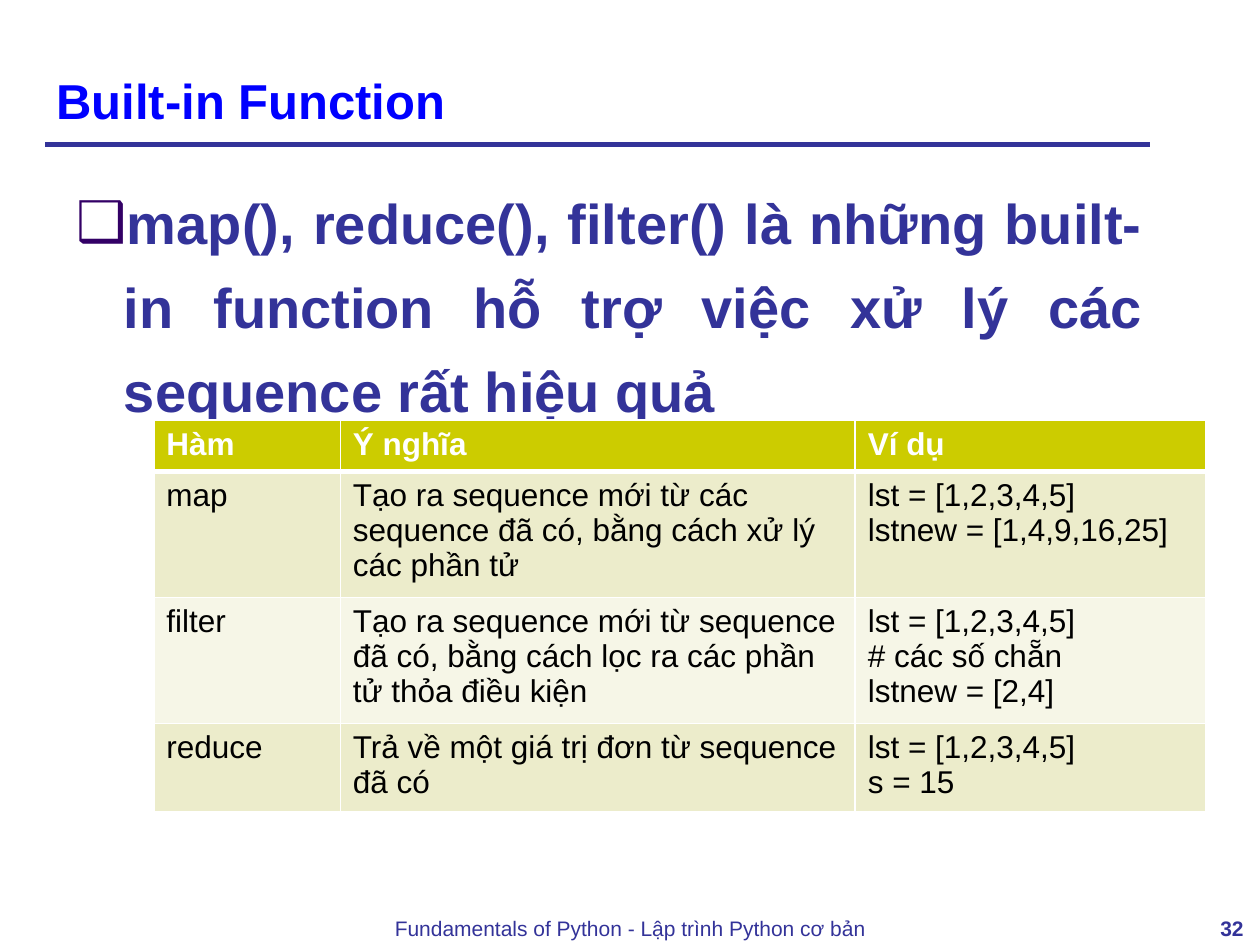
from lxml.etree import SubElement
from pptx import Presentation
from pptx.dml.color import RGBColor
from pptx.enum.shapes import MSO_CONNECTOR
from pptx.enum.text import MSO_ANCHOR, PP_ALIGN
from pptx.oxml.ns import qn
from pptx.util import Cm, Pt

FONT = "Arial"
INDIGO = RGBColor(0x33, 0x33, 0x99)
BLUE = RGBColor(0x00, 0x00, 0xFF)
PURPLE = RGBColor(0x33, 0x00, 0x66)
OLIVE = RGBColor(0xCC, 0xCC, 0x00)
BAND_DARK = RGBColor(0xEC, 0xEC, 0xCB)
BAND_LIGHT = RGBColor(0xF6, 0xF6, 0xE7)
WHITE = RGBColor(0xFF, 0xFF, 0xFF)
BLACK = RGBColor(0x00, 0x00, 0x00)

COLUMN_WIDTHS = (3.76, 10.38, 7.06)
ROW_HEIGHTS = (1.03, 2.54, 2.54, 1.78)
FUNCTIONS = (
    ("Hàm", "Ý nghĩa", "Ví dụ"),
    ("map",
     "Tạo ra sequence mới từ các sequence đã có, bằng cách xử lý các phần tử",
     "lst = [1,2,3,4,5]\nlstnew = [1,4,9,16,25]"),
    ("filter",
     "Tạo ra sequence mới từ sequence đã có, bằng cách lọc ra các phần tử thỏa điều kiện",
     "lst = [1,2,3,4,5]\n# các số chẵn\nlstnew = [2,4]"),
    ("reduce",
     "Trả về một giá trị đơn từ sequence đã có",
     "lst = [1,2,3,4,5]\ns = 15"),
)


def write(frame, text, size, color, bold=False, align=PP_ALIGN.LEFT):
    frame.text = text
    for paragraph in frame.paragraphs:
        paragraph.alignment = align
        for run in paragraph.runs:
            run.font.name = FONT
            run.font.size = Pt(size)
            run.font.bold = bold
            run.font.color.rgb = color


def add_text(slide, box, text, size, color, bold=False,
             align=PP_ALIGN.LEFT, anchor=MSO_ANCHOR.TOP):
    frame = slide.shapes.add_textbox(*map(Cm, box)).text_frame
    frame.word_wrap = True
    frame.vertical_anchor = anchor
    write(frame, text, size, color, bold, align)
    return frame.paragraphs[0]


def add_bullet(paragraph, symbol, color, indent):
    properties = paragraph._p.get_or_add_pPr()
    properties.set("marL", str(indent))
    properties.set("indent", str(-indent))
    bullet_color = SubElement(properties, qn("a:buClr"))
    SubElement(bullet_color, qn("a:srgbClr"), val=str(color))
    SubElement(properties, qn("a:buFont"), typeface=FONT)
    SubElement(properties, qn("a:buChar"), char=symbol)


def add_rule(slide, left, right, top):
    rule = slide.shapes.add_connector(
        MSO_CONNECTOR.STRAIGHT, Cm(left), Cm(top), Cm(right), Cm(top))
    rule.line.color.rgb = INDIGO
    rule.line.width = Pt(3)
    SubElement(rule._element.spPr, qn("a:effectLst"))


def set_borders(cell, **widths):
    properties = cell._tc.get_or_add_tcPr()
    for side in "LRTB":
        border = SubElement(properties, qn(f"a:ln{side}"),
                            w=str(Pt(widths.get(side, 1))))
        fill = SubElement(border, qn("a:solidFill"))
        SubElement(fill, qn("a:srgbClr"), val=str(WHITE))


def add_function_table(slide, left, top):
    table = slide.shapes.add_table(
        len(FUNCTIONS), len(COLUMN_WIDTHS), Cm(left), Cm(top),
        Cm(sum(COLUMN_WIDTHS)), Cm(sum(ROW_HEIGHTS))).table
    for column, width in zip(table.columns, COLUMN_WIDTHS):
        column.width = Cm(width)
    for index, (row, height, texts) in enumerate(
            zip(table.rows, ROW_HEIGHTS, FUNCTIONS)):
        row.height = Cm(height)
        heading = index == 0
        band = OLIVE if heading else BAND_DARK if index % 2 else BAND_LIGHT
        for cell, text in zip(row.cells, texts):
            write(cell.text_frame, text, 18, WHITE if heading else BLACK, heading)
            set_borders(cell, B=3 if heading else 1, T=3 if index == 1 else 1)
            cell.fill.solid()
            cell.fill.fore_color.rgb = band


def main():
    deck = Presentation()
    deck.slide_width, deck.slide_height = Cm(25.4), Cm(19.05)
    slide = deck.slides.add_slide(deck.slide_layouts[6])

    add_rule(slide, 0.91, 23.19, 2.92)
    add_text(slide, (2.21, 18.34, 21, 0.61),
             "Fundamentals of Python - Lập trình Python cơ bản",
             12, INDIGO, align=PP_ALIGN.CENTER)
    add_text(slide, (0.89, 0.53, 22, 2.21), "Built-in Function",
             28, BLUE, bold=True, anchor=MSO_ANCHOR.BOTTOM)
    summary = add_text(
        slide, (1.3, 3.33, 22, 14.4),
        "map(), reduce(), filter() là những built-in function "
        "hỗ trợ việc xử lý các sequence rất hiệu quả",
        32, INDIGO, bold=True, align=PP_ALIGN.JUSTIFY)
    summary.line_spacing = 1.25
    add_bullet(summary, "❑", PURPLE, Cm(0.95))
    add_text(slide, (23.32, 18.34, 2, 0.61), "32",
             12, INDIGO, bold=True, align=PP_ALIGN.RIGHT)
    add_function_table(slide, 3.1, 8.47)

    deck.save("out.pptx")


if __name__ == "__main__":
    main()
